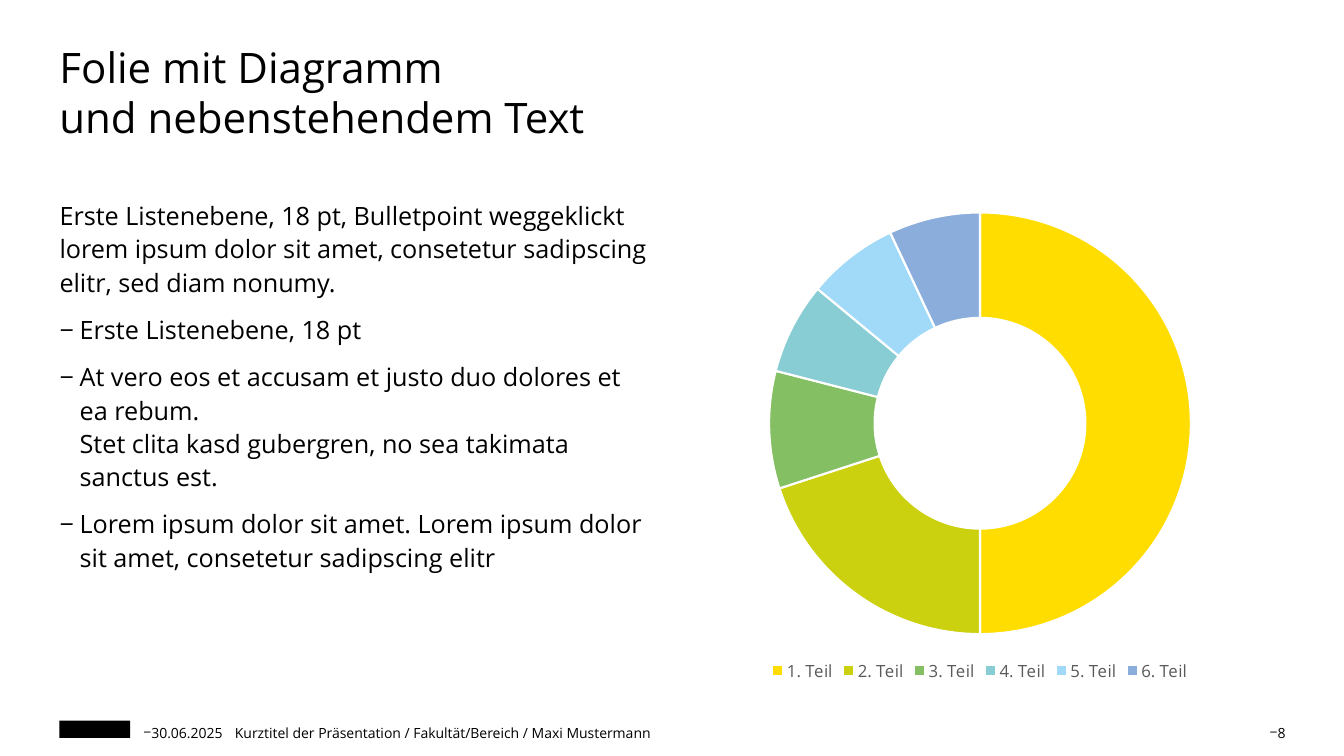
from dataclasses import dataclass

from lxml.etree import SubElement
from pptx import Presentation
from pptx.chart.data import CategoryChartData
from pptx.dml.color import RGBColor
from pptx.enum.chart import XL_CHART_TYPE as ChartType, XL_LEGEND_POSITION as LegendPosition
from pptx.enum.shapes import MSO_SHAPE as Preset
from pptx.enum.text import MSO_ANCHOR as Anchor, PP_ALIGN as Align
from pptx.oxml.ns import qn
from pptx.util import Inches, Pt

FONT = "Open Sans"
BLACK = RGBColor(0x00, 0x00, 0x00)
WHITE = RGBColor(0xFF, 0xFF, 0xFF)
GRAY = RGBColor(0x59, 0x59, 0x59)
RING_COLORS = (
    RGBColor(0xFF, 0xDD, 0x00),
    RGBColor(0xCB, 0xD1, 0x0F),
    RGBColor(0x84, 0xBF, 0x63),
    RGBColor(0x88, 0xCD, 0xD3),
    RGBColor(0xA1, 0xDA, 0xF8),
    RGBColor(0x8B, 0xAD, 0xDC),
)
SHARES = (50, 20, 9, 7, 7, 7)

MARGIN = 0.59
FOOTER_TOP, FOOTER_HEIGHT = 7.15, 0.2


@dataclass(frozen=True)
class Line:
    text: str
    dash: bool = False
    indent: float = 0


@dataclass(frozen=True)
class Block:
    left: float
    top: float
    width: float
    height: float
    size: int
    lines: tuple[Line, ...]
    align: Align = Align.LEFT
    anchor: Anchor = Anchor.TOP
    spacing: float = 1.1
    after: int = 0


def footer(left: float, width: float, line: Line, align: Align = Align.LEFT) -> Block:
    return Block(left, FOOTER_TOP, width, FOOTER_HEIGHT, 10, (line,), align, Anchor.BOTTOM)


BLOCKS = (
    Block(MARGIN, 0.41, 12.16, 0.98, 30,
          (Line("Folie mit Diagramm\vund nebenstehendem Text"),), spacing=1.0),
    Block(MARGIN, 1.96, 5.88, 4.84, 18, (
        Line("Erste Listenebene, 18 pt, Bulletpoint weggeklickt lorem ipsum dolor "
             "sit amet, consetetur sadipscing elitr, sed diam nonumy."),
        Line("Erste Listenebene, 18 pt", True, 0.2),
        Line("At vero eos et accusam et justo duo dolores et ea rebum. \v"
             "Stet clita kasd gubergren, no sea takimata sanctus est.", True, 0.2),
        Line("Lorem ipsum dolor sit amet. Lorem ipsum dolor sit amet, "
             "consetetur sadipscing elitr", True, 0.2),
    ), after=10),
    footer(1.4, 0.83, Line("30.06.2025", True), Align.CENTER),
    footer(2.33, 9.45, Line("Kurztitel der Präsentation / Fakultät/Bereich / Maxi Mustermann")),
    footer(12.16, 0.59, Line("8", True), Align.RIGHT),
)


def apply(target: object, formats: dict[str, object]) -> None:
    for name, value in formats.items():
        setattr(target, name, value)


def style_font(font: object, size: int, color: RGBColor) -> None:
    apply(font, {"name": FONT, "size": Pt(size), "bold": False})
    font.color.rgb = color


def add_dash(paragraph: object, indent: float) -> None:
    properties = paragraph._p.get_or_add_pPr()
    properties.set("marL", str(Inches(indent)))
    properties.set("indent", str(-Inches(indent)))
    SubElement(properties, qn("a:buFont")).set("typeface", FONT)
    SubElement(properties, qn("a:buChar")).set("char", "−")


def add_block(slide: object, block: Block) -> None:
    frame = slide.shapes.add_textbox(
        Inches(block.left), Inches(block.top), Inches(block.width), Inches(block.height)
    ).text_frame
    apply(frame, {"word_wrap": True, "vertical_anchor": block.anchor,
                  "margin_left": 0, "margin_right": 0, "margin_top": 0, "margin_bottom": 0})
    for index, line in enumerate(block.lines):
        paragraph = frame.add_paragraph() if index else frame.paragraphs[0]
        paragraph.text = line.text
        if line.dash:
            add_dash(paragraph, line.indent)
        apply(paragraph, {"alignment": block.align, "line_spacing": block.spacing,
                          "space_after": Pt(block.after)})
        for run in paragraph.runs:
            style_font(run.font, block.size, BLACK)


def add_ring(slide: object) -> None:
    data = CategoryChartData()
    data.categories = [f"{number}. Teil" for number in range(1, len(SHARES) + 1)]
    data.add_series("Series 1", SHARES)
    chart = slide.shapes.add_chart(
        ChartType.DOUGHNUT, Inches(6.69), Inches(1.97), Inches(6.06), Inches(4.84), data
    ).chart
    apply(chart, {"has_title": False, "has_legend": True})
    style_font(chart.font, 10, BLACK)
    apply(chart.legend, {"position": LegendPosition.BOTTOM, "include_in_layout": False})
    style_font(chart.legend.font, 12, GRAY)

    plot = chart.plots[0]
    plot.vary_by_categories = True
    plot._element.find(qn("c:holeSize")).set("val", "50")
    for index, color in enumerate(RING_COLORS):
        part = plot.series[0].points[index].format
        part.fill.solid()
        part.fill.fore_color.rgb = color
        part.line.color.rgb = WHITE
        part.line.width = Pt(1.5)


def add_emblem(slide: object) -> None:
    emblem = slide.shapes.add_shape(
        Preset.RECTANGLE, Inches(MARGIN), Inches(FOOTER_TOP), Inches(0.7), Inches(0.17))
    emblem.shadow.inherit = False
    emblem.fill.solid()
    emblem.fill.fore_color.rgb = BLACK
    emblem.line.fill.background()


def main() -> None:
    deck = Presentation()
    apply(deck, {"slide_width": Inches(13.33), "slide_height": Inches(7.5)})
    slide = deck.slides.add_slide(deck.slide_layouts[6])

    # Plain emblem in the footer
    add_emblem(slide)

    # Title, body and footer texts
    for block in BLOCKS:
        add_block(slide, block)

    # Doughnut chart
    add_ring(slide)

    deck.save("out.pptx")


if __name__ == "__main__":
    main()
